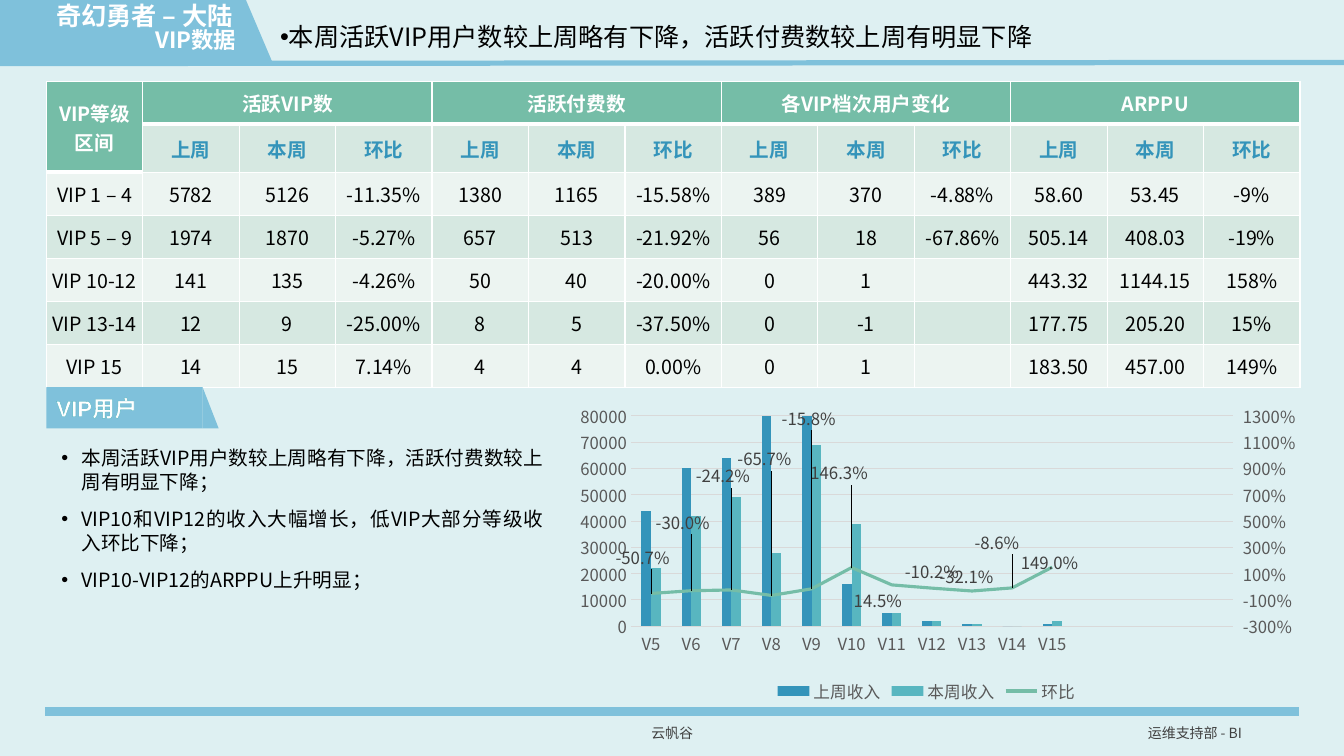
from copy import deepcopy

from pptx import Presentation
from pptx.chart.axis import ValueAxis
from pptx.chart.data import CategoryChartData
from pptx.dml.color import RGBColor
from pptx.enum.chart import (XL_CHART_TYPE as Chart, XL_LABEL_POSITION as LabelPos, XL_TICK_MARK as Tick,
                             XL_LEGEND_POSITION as LegendPos, XL_MARKER_STYLE as Marker)
from pptx.enum.shapes import MSO_CONNECTOR as Conn, MSO_SHAPE as Shape
from pptx.enum.text import MSO_ANCHOR as Anchor, PP_ALIGN as Align
from pptx.oxml import parse_xml
from pptx.oxml.ns import nsdecls, qn
from pptx.util import Pt

# Content
TITLE = ["奇幻勇者 – 大陆", "VIP数据"]
HEADLINE = "本周活跃VIP用户数较上周略有下降，活跃付费数较上周有明显下降"
SECTION = "VIP用户"
FINDINGS = ["本周活跃VIP用户数较上周略有下降，活跃付费数较上周有明显下降；",
            "VIP10和VIP12的收入大幅增长，低VIP大部分等级收入环比下降；",
            "VIP10-VIP12的ARPPU上升明显；"]
COMPANY, TEAM = "云帆谷", "运维支持部 - BI"
CORNER = ["VIP等级", "区间"]
GROUPS = ["活跃VIP数", "活跃付费数", "各VIP档次用户变化", "ARPPU"]
MEASURES = ["上周", "本周", "环比"]
ROWS = [row.split("|") for row in (
    "VIP 1 – 4|5782|5126|-11.35%|1380|1165|-15.58%|389|370|-4.88%|58.60|53.45|-9%",
    "VIP 5 – 9|1974|1870|-5.27%|657|513|-21.92%|56|18|-67.86%|505.14|408.03|-19%",
    "VIP 10-12|141|135|-4.26%|50|40|-20.00%|0|1||443.32|1144.15|158%",
    "VIP 13-14|12|9|-25.00%|8|5|-37.50%|0|-1||177.75|205.20|15%",
    "VIP 15|14|15|7.14%|4|4|0.00%|0|1||183.50|457.00|149%")]
LEVELS = [f"V{n}" for n in range(5, 16)]
SPARE = 4  # empty categories after the last level
SERIES = [
    ("上周收入", "General", [44000, 60000, 64000, 82000, 82000, 16000, 5000, 2000, 1000, 0, 1000]),
    ("本周收入", "General", [22000, 42000, 49000, 28000, 69000, 39000, 5000, 2000, 1000, 0, 2000]),
    ("环比", "0.0%", [-0.507, -0.3, -0.242, -0.657, -0.158, 1.463, 0.145, -0.102, -0.321, -0.086, 1.49])]
# Label shifts in points, by level index
LABEL_SHIFTS = {0: (-6, -14), 1: (-6, -37), 2: (-6, -70), 3: (-5, -86), 4: (-2, -110),
                5: (-9, -56), 6: (-10, 23), 8: (-4, 1), 9: (-11, -21), 10: (-2, 8)}


class T:  # theme
    font, label_font = "Noto Sans CJK SC", "Arial"
    page, band, head, tint, pale = "DEF0F2", "7FC1DB", "75BDA7", "D6E8E1", "ECF4F1"
    blue, teal, white, black = "3494BA", "58B6C0", "FFFFFF", "000000"
    note, axis, grid = "404040", "595959", "D9D9D9"
    big, mid, body, label, tick, small = 18, 16, 14, 12, 11.9, 10


rgb = RGBColor.from_string


def xml(tag, attrs="", inner=""):
    return parse_xml(f'<{tag} {nsdecls(tag[0])} {attrs}>{inner}</{tag}>')


def stroke(tag, color, width):
    return xml(tag, f'w="{Pt(width)}"', f'<a:solidFill><a:srgbClr val="{color}"/></a:solidFill>')


def paint(obj, color):
    obj.fill.solid()
    obj.fill.fore_color.rgb = rgb(color)


def style(f, size, color, bold=False, font=T.font):
    f.size, f.bold, f.name = Pt(size), bold, font
    f.color.rgb = rgb(color)


def write(tf, lines, size=T.body, color=T.black, bold=False, font=T.font, align=Align.LEFT,
          anchor=Anchor.TOP, bullet=False, indent=(0, 0), spacing=None, before=0):
    tf.word_wrap, tf.vertical_anchor = True, anchor
    for i, text in enumerate(lines):
        p = tf.add_paragraph() if i else tf.paragraphs[0]
        p.alignment, p.line_spacing = align, spacing
        if i and before:
            p.space_before = Pt(before)
        if bullet:
            pPr = p._p.get_or_add_pPr()
            pPr.set("marL", str(Pt(indent[0])))
            pPr.set("indent", str(Pt(indent[1])))
            pPr.extend([xml("a:buFont", 'typeface="Arial"'), xml("a:buChar", 'char="•"')])
        r = p.add_run()
        r.text = text
        style(r.font, size, color, bold, font)
        r._r.rPr.find(qn("a:latin")).addnext(xml("a:ea", f'typeface="{font}"'))
    return tf


def text_box(s, box, lines, **fmt):
    return write(s.shapes.add_textbox(*map(Pt, box)).text_frame, lines, **fmt)


def line(s, ends, width):
    c = s.shapes.add_connector(Conn.STRAIGHT, *map(Pt, ends))
    c.line.color.rgb, c.line.width = rgb(T.band), Pt(width)
    c._element.spPr.append(xml("a:effectLst"))


def tab(s, x, y, width, height, slant):
    """Draw a band with a slanted right end and return its text frame."""
    for kind, left, w in ((Shape.RIGHT_TRIANGLE, x + width, slant), (Shape.RECTANGLE, x, width)):
        sp = s.shapes.add_shape(kind, *map(Pt, (left, y, w, height)))
        sp.shadow.inherit = False
        paint(sp, T.band)
        sp.line.fill.background()
    return sp.text_frame


def vip_table(s):
    m, cols = len(MEASURES), len(ROWS[0])
    t = s.shapes.add_table(len(ROWS) + 2, cols, *map(Pt, (33.1, 58, 895.7, 214.9))).table
    t.first_row = t.horz_banding = False
    for col in t.columns:
        col.width = Pt(68.9)
    top = [CORNER] + [[g] if k == 0 else [] for g in GROUPS for k in range(m)]
    grid = [top, [[]] + [[x] for x in MEASURES * len(GROUPS)]]
    grid += [[[x] if x else [] for x in row] for row in ROWS]
    for i, row in enumerate(grid):
        t.rows[i].height = Pt(30.7)
        for j, lines in enumerate(row):
            cell, head = t.cell(i, j), i == 0 or (i == 1 and j == 0)
            for side in "LRTB":
                width = 3 if head and side == "B" else 1
                cell._tc.get_or_add_tcPr().append(stroke(f"a:ln{side}", T.white, width))
            paint(cell, T.head if head else T.tint if i % 2 else T.pale)
            cell.vertical_anchor = Anchor.MIDDLE
            if i < 2 or j == 0:
                cell.margin_left = cell.margin_right = cell.margin_top = Pt(0.75)
                cell.margin_bottom = 0
            write(cell.text_frame, lines, bold=i < 2, align=Align.CENTER,
                  color=(T.white, T.blue)[i] if i < 2 else T.black)
    t.cell(0, 0).merge(t.cell(1, 0))
    for j in range(1, cols, m):
        t.cell(0, j).merge(t.cell(0, j + m - 1))


def scale(axis, low, high, step, fmt):
    axis.minimum_scale, axis.maximum_scale, axis.major_unit = low, high, step
    axis.tick_labels.number_format, axis.tick_labels.number_format_is_linked = fmt, False


def layout(head="", **parts):
    body = "".join(f'<c:{k} val="{v:.4f}"/>' for k, v in parts.items())
    return xml("c:layout", inner=f"<c:manualLayout>{head}{body}</c:manualLayout>")


def revenue_chart(s, x, y, w, h):
    data = CategoryChartData()
    data.categories = LEVELS + [""] * SPARE
    for name, fmt, vals in SERIES:
        data.add_series(name, vals + [None] * SPARE, fmt)
    ch = s.shapes.add_chart(Chart.COLUMN_CLUSTERED, *map(Pt, (x, y, w, h)), data).chart
    style(ch.font, T.small, T.black, font=T.label_font)
    ch.has_title, ch.has_legend = False, True
    ch.legend.position, ch.legend.include_in_layout = LegendPos.BOTTOM, False
    style(ch.legend.font, T.tick, T.axis)
    bars = ch.plots[0]
    bars.gap_width, bars.vary_by_categories = 219, False
    for ser, color in zip(bars.series, (T.blue, T.teal)):
        paint(ser.format, color)
    # Main axes
    cat, val = ch.category_axis, ch.value_axis
    for axis in (cat, val):
        axis.major_tick_mark = axis.minor_tick_mark = Tick.NONE
        style(axis.tick_labels.font, T.tick, T.axis)
    for ln in (cat.format.line, val.major_gridlines.format.line):
        ln.color.rgb, ln.width = rgb(T.grid), Pt(0.75)
    val.format.line.fill.background()
    scale(val, 0, 80000, 10000, "General")
    # Change line on a second pair of axes
    area = ch._chartSpace.chart.plotArea
    bar, cat_x, val_x = (area.find(qn(f"c:{k}")) for k in ("barChart", "catAx", "valAx"))
    ser_x = bar.findall(qn("c:ser"))[2]
    for el in ser_x.findall(qn("c:invertIfNegative")):
        ser_x.remove(el)
    line_x = xml("c:lineChart", inner='<c:grouping val="standard"/><c:varyColors val="0"/>'
                 '<c:marker val="1"/><c:axId val="501"/><c:axId val="502"/>')
    line_x.insert(2, ser_x)
    bar.addnext(line_x)
    cat2, val2 = deepcopy(cat_x), deepcopy(val_x)
    val_x.addnext(val2)
    val2.addnext(cat2)
    for ax, tag, value in ((cat2, "axId", "501"), (cat2, "crossAx", "502"), (cat2, "delete", "1"),
                           (val2, "axId", "502"), (val2, "crossAx", "501"), (val2, "axPos", "r"),
                           (val2, "crosses", "max")):
        ax.find(qn(f"c:{tag}")).set("val", value)
    right = ValueAxis(val2)
    right.has_major_gridlines, right.major_tick_mark = False, Tick.OUTSIDE
    scale(right, -3, 13, 2, "0%")
    # Line format and labels
    ser = ch.plots[1].series[0]
    ser.smooth, ser.marker.style = False, Marker.NONE
    ser.format.line.color.rgb, ser.format.line.width = rgb(T.head), Pt(2.25)
    labels = ser.data_labels
    labels.show_value, labels.position = True, LabelPos.ABOVE
    labels.number_format, labels.number_format_is_linked = "0.0%", False
    style(labels.font, T.label, T.note)
    for i, (dx, dy) in LABEL_SHIFTS.items():
        dl = ser.points[i].data_label
        dl.position = LabelPos.ABOVE
        style(dl.font, T.label, T.note)
        dl._dLbl.insert(1, layout(x=dx / w, y=dy / h))
    # Plot area
    for el in area.findall(qn("c:layout")):
        area.remove(el)
    edges = '<c:layoutTarget val="inner"/><c:xMode val="edge"/><c:yMode val="edge"/>'
    area.insert(0, layout(edges, x=0.104, y=0.063, w=0.807, h=0.676))


def main():
    prs = Presentation()
    prs.slide_width, prs.slide_height = Pt(960), Pt(540)
    s = prs.slides.add_slide(prs.slide_layouts[6])
    paint(s.background, T.page)
    # Frame, findings and table
    line(s, (32.4, 508.3, 928, 508.3), 6)
    tab(s, 0, 0, 175.7, 44, 18.7)
    line(s, (0, 45.4, 960, 44.6), 3.75)
    tf = text_box(s, (33.1, 312.5, 362.2, 193), FINDINGS, align=Align.JUSTIFY, bullet=True,
                  indent=(18, -14.4), spacing=1.0, before=10)
    tf.margin_top = Pt(6)
    vip_table(s)
    # Section tab with outlined lettering
    tf = write(tab(s, 33.1, 276.5, 111.6, 29.5, 11.5), [SECTION], size=T.mid, color=T.white,
               bold=True, font=T.label_font, anchor=Anchor.MIDDLE)
    tf.paragraphs[0].runs[0]._r.rPr.insert(0, stroke("a:ln", T.teal, 0.52))
    # Title, chart, headline and footer
    tf = text_box(s, (33.1, 0, 142.6, 48.2), TITLE, size=T.big, color=T.white, bold=True, spacing=0.85)
    tf.paragraphs[1].alignment = Align.RIGHT
    tf.paragraphs[1].runs[0].font.size = Pt(T.mid)
    revenue_chart(s, 395.3, 283, 532.8, 222.5)
    text_box(s, (193, 14.4, 735, 28.8), [HEADLINE], size=T.big, bullet=True, spacing=0.9)
    for x, w, text, align in ((318.2, 324, COMPANY, Align.CENTER), (678.2, 216, TEAM, Align.RIGHT)):
        text_box(s, (x, 517, w, 13), [text], size=T.small, color=T.note, align=align, anchor=Anchor.MIDDLE)
    prs.save("out.pptx")


if __name__ == "__main__":
    main()
